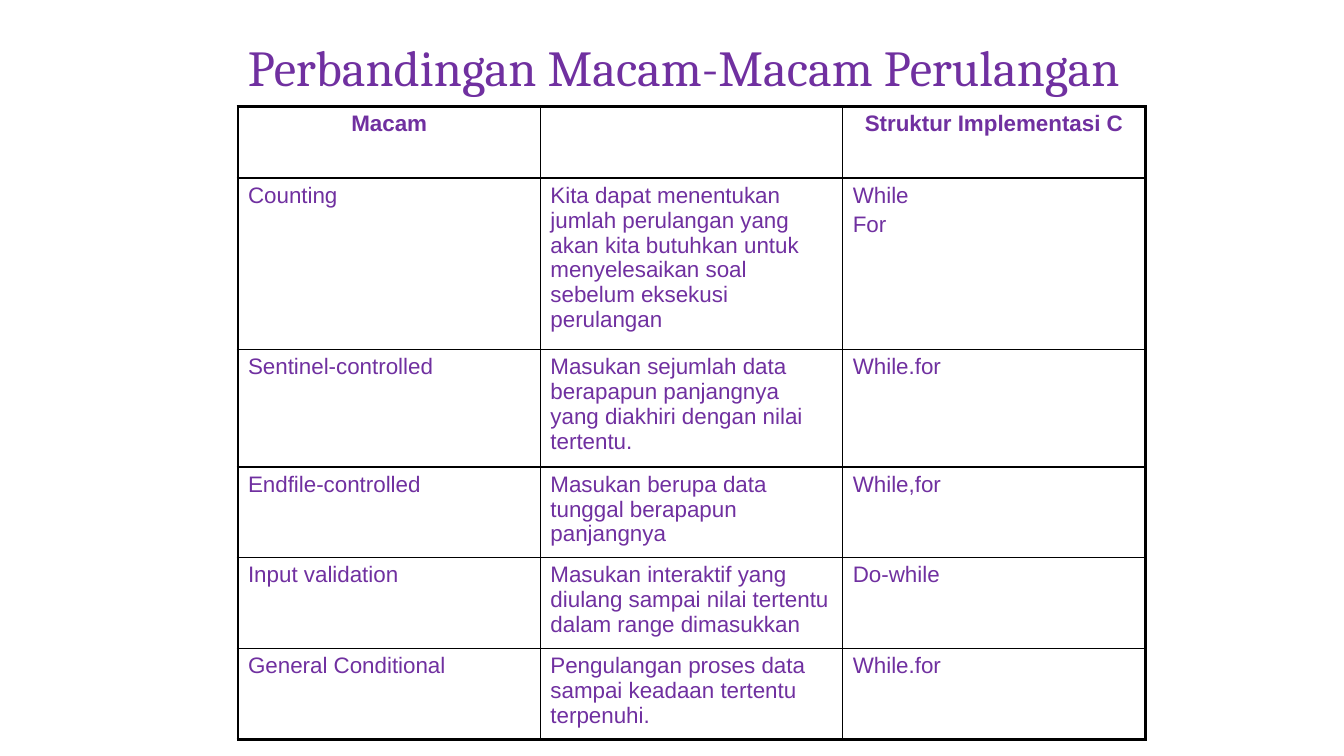
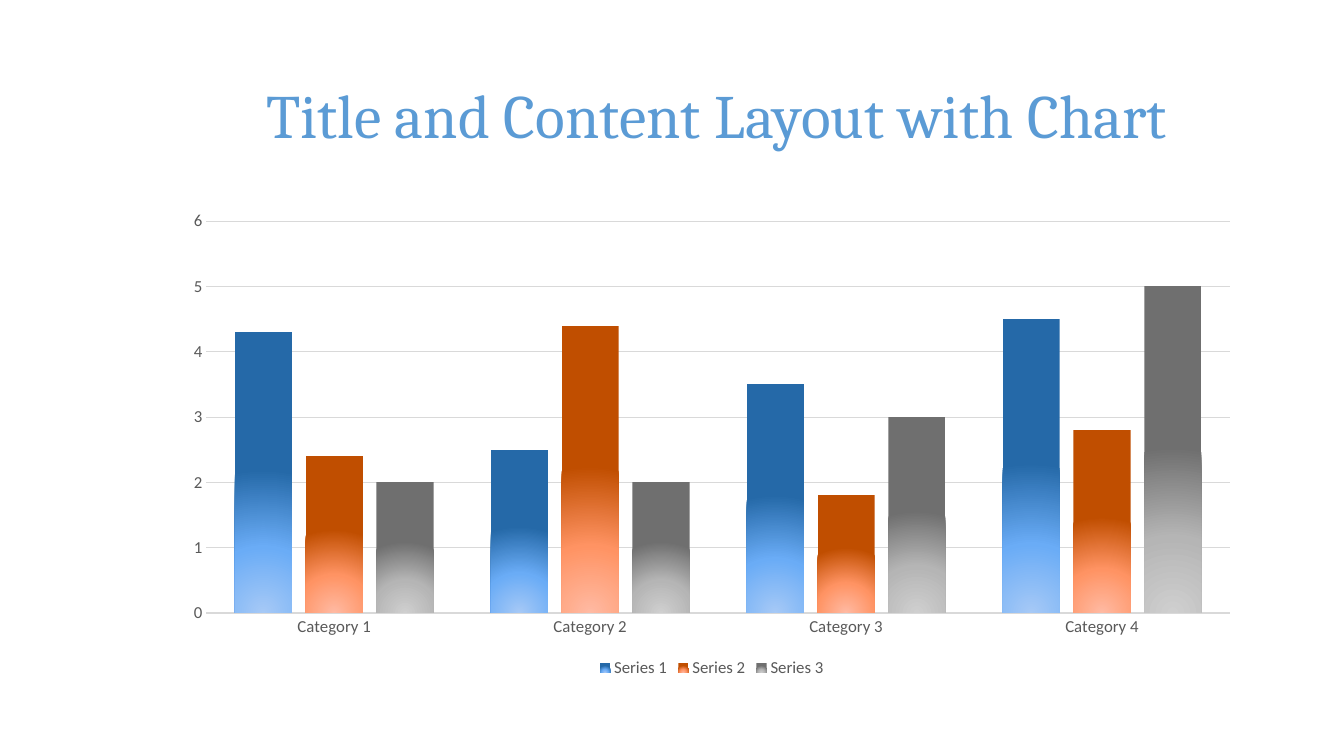
from dataclasses import dataclass

from lxml.etree import SubElement
from pptx import Presentation
from pptx.chart.data import CategoryChartData
from pptx.dml.color import RGBColor
from pptx.enum.chart import XL_CHART_TYPE, XL_LEGEND_POSITION, XL_TICK_MARK
from pptx.enum.text import MSO_ANCHOR, PP_ALIGN
from pptx.oxml.ns import qn
from pptx.util import Pt


@dataclass(frozen=True)
class Theme:
    purple: str = "7030A0"
    blue: str = "5B9BD5"
    border: str = "000000"
    chart_text: str = "595959"
    chart_line: str = "D9D9D9"
    title_font: str = "Cambria"
    table_font: str = "Arial"
    chart_font: str = "Calibri"
    table_size: float = 16
    chart_size: float = 12
    outer_border: float = 2.25
    inner_border: float = 1


@dataclass(frozen=True)
class Box:
    left: float
    top: float
    width: float
    height: float

    def lengths(self) -> tuple:
        return Pt(self.left), Pt(self.top), Pt(self.width), Pt(self.height)


@dataclass(frozen=True)
class Title:
    text: str
    box: Box
    size: float
    color: str


@dataclass(frozen=True)
class TableRow:
    height: float
    cells: tuple[str, str, str]


@dataclass(frozen=True)
class Series:
    name: str
    values: tuple[float, ...]
    gradient: tuple[str, str, str]


THEME = Theme()

TABLE_TITLE = Title("Perbandingan Macam-Macam Perulangan", Box(170, 18.7, 711, 57.6), 36, THEME.purple)
TABLE_BOX = Box(170, 76.2, 648, 451.2)
TABLE_ROWS = (
    TableRow(51, ("Macam", "", "Struktur Implementasi C")),
    TableRow(122.4, (
        "Counting",
        "Kita dapat menentukan jumlah perulangan yang akan kita butuhkan untuk "
        "menyelesaikan soal sebelum eksekusi perulangan",
        "While\nFor")),
    TableRow(84, (
        "Sentinel-controlled",
        "Masukan sejumlah data berapapun panjangnya yang diakhiri dengan nilai tertentu.",
        "While.for")),
    TableRow(64.8, (
        "Endfile-controlled", "Masukan berupa data tunggal berapapun panjangnya", "While,for")),
    TableRow(64.8, (
        "Input validation",
        "Masukan interaktif yang diulang sampai nilai tertentu dalam range dimasukkan",
        "Do-while")),
    TableRow(64.8, (
        "General Conditional",
        "Pengulangan proses data sampai keadaan tertentu terpenuhi.",
        "While.for")),
)

CHART_TITLE = Title("Title and Content Layout with Chart", Box(183, 28.8, 711, 104.4), 44, THEME.blue)
CHART_BOX = Box(123, 144, 771, 343)
CATEGORIES = ("Category 1", "Category 2", "Category 3", "Category 4")
SERIES = (
    Series("Series 1", (4.3, 2.5, 3.5, 4.5), ("A6C9F6", "6AACF6", "2569A8")),
    Series("Series 2", (2.4, 4.4, 1.8, 2.8), ("FFBAA3", "FF9363", "C04E00")),
    Series("Series 3", (2, 2, 3, 5), ("CFCFCF", "B5B5B5", "6F6F6F")),
)
GRADIENT_STOPS = (0, 46, 100)


def style_font(font, name: str, size: float, color: str, bold: bool = False) -> None:
    font.name = name
    font.size = Pt(size)
    font.bold = bold
    font.color.rgb = RGBColor.from_string(color)


def add_title(slide, title: Title) -> None:
    text_frame = slide.shapes.add_textbox(*title.box.lengths()).text_frame
    text_frame.word_wrap = True
    text_frame.vertical_anchor = MSO_ANCHOR.MIDDLE
    text_frame.text = title.text
    style_font(text_frame.paragraphs[0].runs[0].font, THEME.title_font, title.size, title.color)


def set_borders(cell, widths: dict[str, float]) -> None:
    """Put the borders before the fill, as the schema wants."""
    properties = cell._tc.get_or_add_tcPr()
    for position, (side, width) in enumerate(widths.items()):
        line = SubElement(properties, qn(f"a:{side}"), w=str(Pt(width)))
        fill = SubElement(line, qn("a:solidFill"))
        SubElement(fill, qn("a:srgbClr"), val=THEME.border)
        properties.insert(position, line)


def fill_cell(cell, text: str, is_header: bool) -> None:
    cell.fill.background()
    cell.text_frame.text = text
    for index, paragraph in enumerate(cell.text_frame.paragraphs):
        paragraph.alignment = PP_ALIGN.CENTER if is_header else PP_ALIGN.LEFT
        if index:
            paragraph.space_before = Pt(THEME.table_size * 0.2)
        style_font(paragraph.font, THEME.table_font, THEME.table_size, THEME.purple, is_header)
        for run in paragraph.runs:
            style_font(run.font, THEME.table_font, THEME.table_size, THEME.purple, is_header)


def add_comparison_table(slide) -> None:
    row_count, column_count = len(TABLE_ROWS), len(TABLE_ROWS[0].cells)
    table = slide.shapes.add_table(row_count, column_count, *TABLE_BOX.lengths()).table
    table.first_row = table.horz_banding = False
    for column in table.columns:
        column.width = Pt(TABLE_BOX.width / column_count)
    for row_index, row in enumerate(TABLE_ROWS):
        table.rows[row_index].height = Pt(row.height)
        for column_index, text in enumerate(row.cells):
            cell = table.cell(row_index, column_index)
            fill_cell(cell, text, row_index == 0)
            is_outer = {
                "lnL": column_index == 0,
                "lnR": column_index == column_count - 1,
                "lnT": row_index == 0,
                "lnB": row_index == row_count - 1,
            }
            set_borders(cell, {
                side: THEME.outer_border if outer else THEME.inner_border
                for side, outer in is_outer.items()
            })


def set_radial_gradient(series, colors: tuple[str, str, str]) -> None:
    """Fill the columns with a circular gradient centred below their base."""
    properties = series.format.fill._xPr
    gradient = SubElement(properties, qn("a:gradFill"), rotWithShape="1")
    stops = SubElement(gradient, qn("a:gsLst"))
    for position, color in zip(GRADIENT_STOPS, colors):
        stop = SubElement(stops, qn("a:gs"), pos=str(position * 1000))
        SubElement(stop, qn("a:srgbClr"), val=color)
    circle = SubElement(gradient, qn("a:path"), path="circle")
    SubElement(circle, qn("a:fillToRect"), l="50000", t="155000", r="50000", b="-55000")


def style_line(line, width: float) -> None:
    line.color.rgb = RGBColor.from_string(THEME.chart_line)
    line.width = Pt(width)


def add_column_chart(slide) -> None:
    data = CategoryChartData()
    data.categories = CATEGORIES
    for series in SERIES:
        data.add_series(series.name, series.values)
    chart = slide.shapes.add_chart(
        XL_CHART_TYPE.COLUMN_CLUSTERED, *CHART_BOX.lengths(), data).chart
    chart.has_title = False
    chart.has_legend = True
    chart.legend.position = XL_LEGEND_POSITION.BOTTOM
    chart.legend.include_in_layout = False
    style_font(chart.font, THEME.chart_font, THEME.chart_size, THEME.chart_text)

    category_axis, value_axis = chart.category_axis, chart.value_axis
    for axis in (category_axis, value_axis):
        axis.major_tick_mark = axis.minor_tick_mark = XL_TICK_MARK.NONE
    style_line(category_axis.format.line, 1)
    value_axis.format.line.fill.background()
    value_axis.minimum_scale, value_axis.maximum_scale, value_axis.major_unit = 0, 6, 1
    style_line(value_axis.major_gridlines.format.line, 0.75)

    plot = chart.plots[0]
    plot.vary_by_categories = False
    plot.gap_width, plot.overlap = 100, -24
    for drawn, series in zip(plot.series, SERIES):
        set_radial_gradient(drawn, series.gradient)


def main() -> None:
    presentation = Presentation()
    presentation.slide_width, presentation.slide_height = Pt(960), Pt(540)
    blank_layout = presentation.slide_layouts[6]
    for title, add_content in ((TABLE_TITLE, add_comparison_table), (CHART_TITLE, add_column_chart)):
        slide = presentation.slides.add_slide(blank_layout)
        add_title(slide, title)
        add_content(slide)
    presentation.save("out.pptx")


if __name__ == "__main__":
    main()
